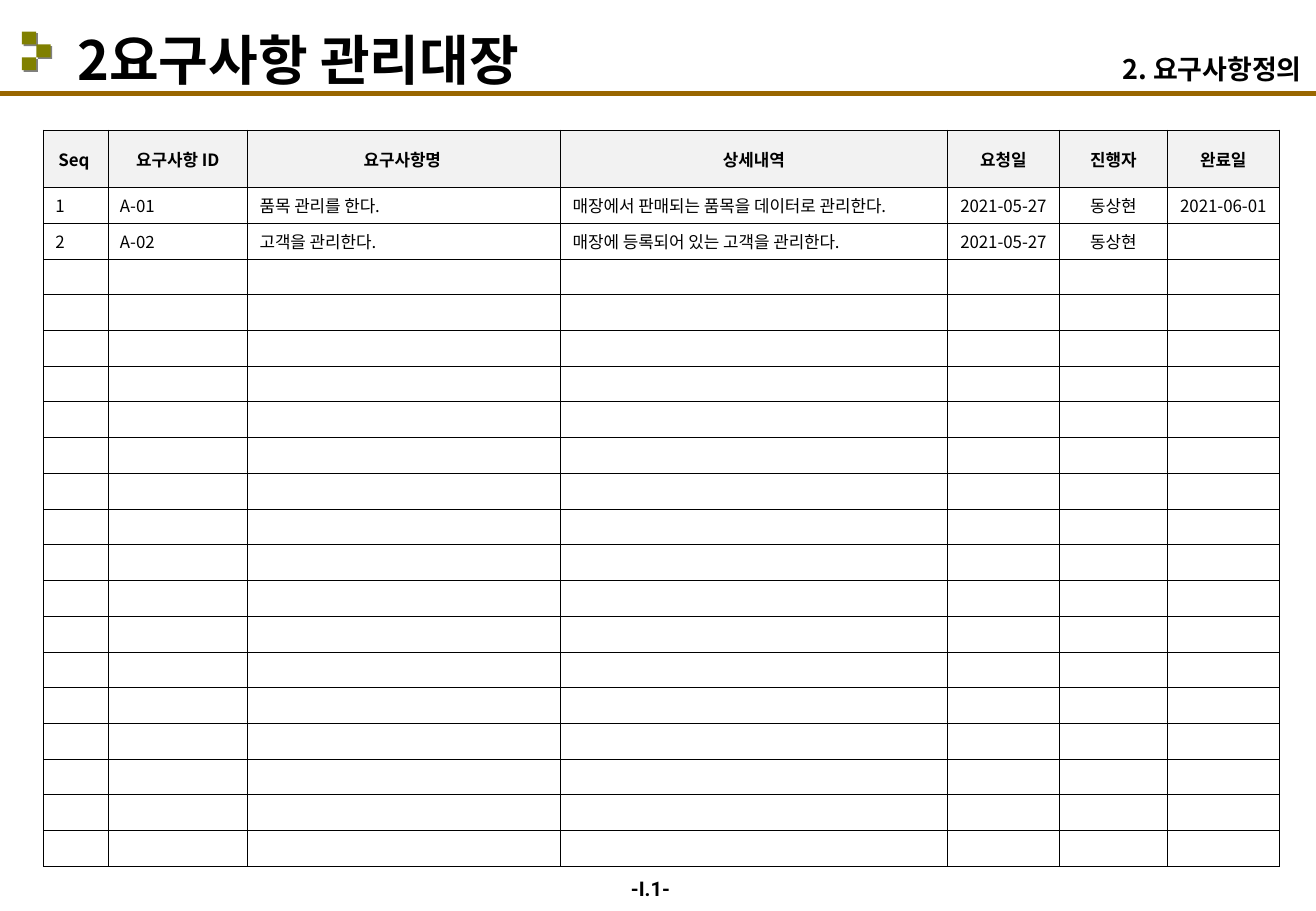
from dataclasses import dataclass

from lxml import etree
from pptx import Presentation
from pptx import util as u
from pptx.dml.color import RGBColor
from pptx.enum import shapes, text
from pptx.oxml import parse_xml
from pptx.oxml.ns import nsdecls, qn


@dataclass(frozen=True)
class Theme:
    """Colours, fonts and type sizes of the register."""
    ink: str = "000000"
    paper: str = "FFFFFF"
    header: str = "F2F2F2"
    rule: str = "996600"
    mark: str = "808000"
    shade: str = "808080"
    korean: str = "Noto Sans CJK KR"
    latin: str = "Roboto"
    title: float = 32
    section: float = 16
    page: float = 12
    cell: float = 10
    rule_width: float = 3
    grid_width: float = 0.45


class Register:
    """Draws the elements of one slide in one theme."""

    def __init__(self, slide, theme):
        """Keep the slide and its theme."""
        self.slide, self.theme = slide, theme

    def rule(self, y, width):
        """Draw a horizontal rule from the left edge."""
        line = self.slide.shapes.add_connector(
            shapes.MSO_CONNECTOR.STRAIGHT, 0, u.Cm(y), u.Cm(width), u.Cm(y))
        line.line.color.rgb = RGBColor.from_string(self.theme.rule)
        line.line.width = u.Pt(self.theme.rule_width)
        etree.SubElement(line._element.spPr, qn("a:effectLst"))

    def mark(self, x, y, width, height):
        """Draw one small shaded block."""
        block = self.slide.shapes.add_shape(
            shapes.MSO_SHAPE.RECTANGLE, *map(u.Cm, (x, y, width, height)))
        block.fill.solid()
        block.fill.fore_color.rgb = RGBColor.from_string(self.theme.mark)
        block.line.fill.background()
        block._element.spPr.append(parse_xml(
            f'<a:effectLst {nsdecls("a")}><a:outerShdw dist="17960" dir="2700000" algn="ctr" '
            f'rotWithShape="0"><a:srgbClr val="{self.theme.shade}"/></a:outerShdw></a:effectLst>'))

    def add_words(self, paragraph, words, size, bold, font, align):
        """Fill a paragraph with one styled run."""
        paragraph.alignment = align
        run = paragraph.add_run()
        run.text = words
        for key, value in {"size": u.Pt(size), "bold": bold, "name": font}.items():
            setattr(run.font, key, value)
        run.font.color.rgb = RGBColor.from_string(self.theme.ink)
        etree.SubElement(run.font._element, qn("a:ea")).set("typeface", font)

    def label(self, box, words, size, font, anchor, align=text.PP_ALIGN.LEFT):
        """Place a bold line of text."""
        frame = self.slide.shapes.add_textbox(*map(u.Cm, box)).text_frame
        frame.word_wrap = True
        frame.vertical_anchor = anchor
        self.add_words(frame.paragraphs[0], words, size, True, font, align)

    def cell(self, cell, words, heading, centred):
        """Style one table cell and fill in its words."""
        theme = self.theme
        side = u.Cm(0.1 if centred else 0.25)
        layout = {"margin_left": side, "margin_right": side, "margin_top": u.Cm(0.1),
                  "margin_bottom": u.Cm(0.1), "vertical_anchor": text.MSO_ANCHOR.MIDDLE}
        for key, value in layout.items():
            setattr(cell, key, value)
        for edge in ("lnL", "lnR", "lnT", "lnB"):
            cell._tc.get_or_add_tcPr().append(parse_xml(
                f'<a:{edge} {nsdecls("a")} w="{u.Pt(theme.grid_width)}"><a:solidFill>'
                f'<a:srgbClr val="{theme.ink}"/></a:solidFill></a:{edge}>'))
        cell.fill.solid()
        cell.fill.fore_color.rgb = RGBColor.from_string(theme.header if heading else theme.paper)
        paragraph = cell.text_frame.paragraphs[0]
        if words:
            align = text.PP_ALIGN.CENTER if centred else text.PP_ALIGN.LEFT
            self.add_words(paragraph, words, theme.cell, heading, theme.korean, align)
        else:
            end = etree.SubElement(paragraph._p, qn("a:endParaRPr"))
            end.set("sz", str(int(theme.cell * 100)))

    def table(self, box, widths, header_height, row_count, entries):
        """Draw the grid with a header row and blank rows below the entries."""
        grid = self.slide.shapes.add_table(row_count, len(widths), *map(u.Cm, box)).table
        grid.first_row = grid.horz_banding = False
        for column, width in zip(grid.columns, widths):
            column.width = u.Cm(width)
        body_height = (box[3] - header_height) / (row_count - 1)
        for r, row in enumerate(grid.rows):
            row.height = u.Cm(body_height if r else header_height)
            entry = entries[r] if r < len(entries) else ()
            for c, cell in enumerate(row.cells):
                words = entry[c] if c < len(entry) else ""
                self.cell(cell, words, r == 0, r == 0 or c >= 4)


def main():
    """Build the requirements register."""
    deck = Presentation()
    deck.slide_width, deck.slide_height = u.Cm(27.53), u.Cm(19.05)
    theme = Theme()
    register = Register(deck.slides.add_slide(deck.slide_layouts[6]), theme)

    register.rule(1.96, 27.53)
    for step in range(3):
        register.mark(0.46 + 0.3 * (step % 2), 0.66 + 0.27 * step, 0.3, 0.27)
    register.label((12.95, 18.21, 2.59, 1.35), "-I.1-", theme.page, theme.latin,
                   text.MSO_ANCHOR.TOP)
    register.label((1.37, 0.33, 17.45, 1.7), "2요구사항 관리대장", theme.title, theme.korean,
                   text.MSO_ANCHOR.BOTTOM)

    entries = [
        ("Seq ", "요구사항 ID", "요구사항명 ", "상세내역", "요청일", "진행자", "완료일"),
        ("1", "A-01", "품목 관리를 한다.", "매장에서 판매되는 품목을 데이터로 관리한다.",
         "2021-05-27", "동상현", "2021-06-01"),
        ("2", "A-02", "고객을 관리한다.", "매장에 등록되어 있는 고객을 관리한다.",
         "2021-05-27", "동상현"),
    ]
    register.table((0.91, 2.72, 25.86, 15.4), (1.35, 2.92, 6.55, 8.08, 2.36, 2.24, 2.36),
                   1.2, 20, entries)
    register.label((22.38, 1.02, 5.1, 0.84), "2. 요구사항정의", theme.section, theme.korean,
                   text.MSO_ANCHOR.MIDDLE, text.PP_ALIGN.RIGHT)
    deck.save("out.pptx")


if __name__ == "__main__":
    main()
